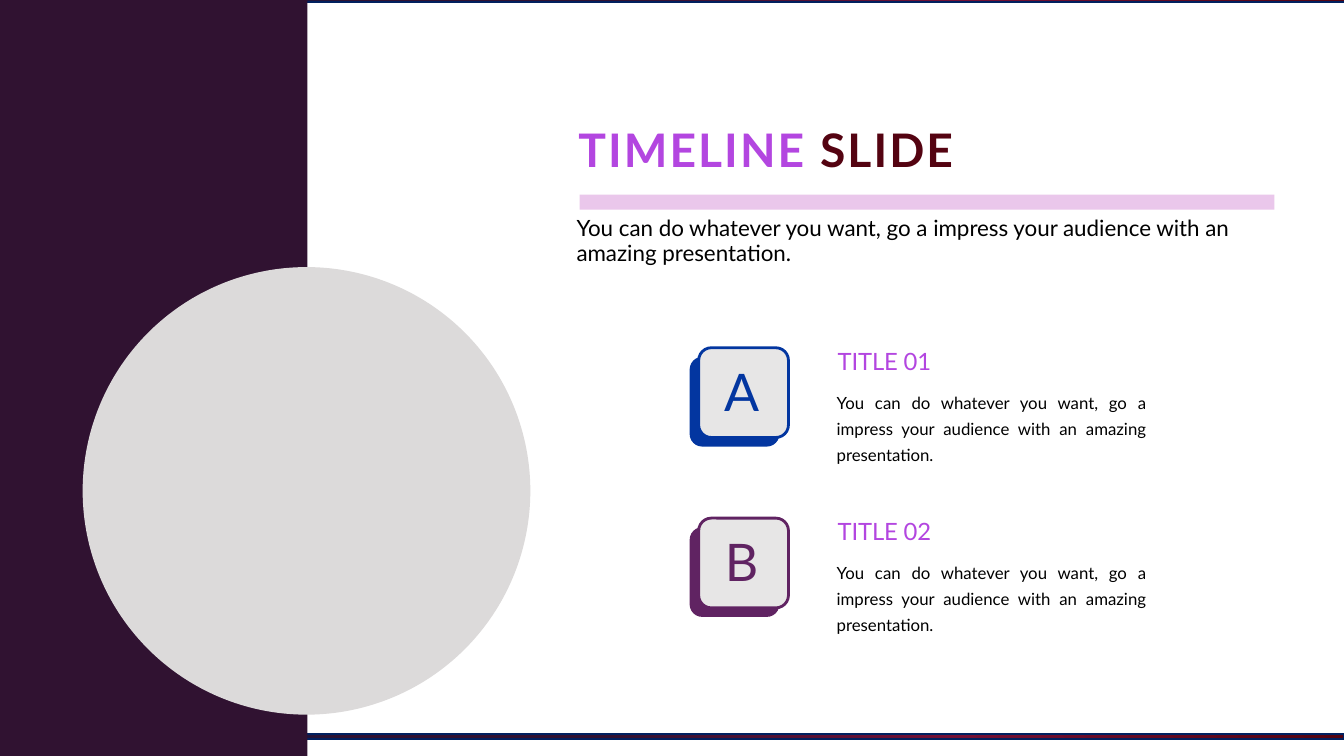
from lxml.etree import SubElement
from pptx import Presentation
from pptx.dml.color import RGBColor
from pptx.enum.shapes import MSO_SHAPE
from pptx.enum.text import MSO_ANCHOR, MSO_AUTO_SIZE, PP_ALIGN
from pptx.oxml.ns import qn
from pptx.util import Inches, Pt

WHITE = RGBColor(0xFF, 0xFF, 0xFF)
BLACK = RGBColor(0x00, 0x00, 0x00)
PLUM = RGBColor(0x30, 0x12, 0x31)
GREY = RGBColor(0xDC, 0xDA, 0xDA)
TILE = RGBColor(0xE7, 0xE6, 0xE6)
PINK = RGBColor(0xEA, 0xC7, 0xEB)
VIOLET = RGBColor(0xB3, 0x46, 0xE0)
MAROON = RGBColor(0x54, 0x03, 0x11)
BLUE = RGBColor(0x03, 0x36, 0xA0)
PURPLE = RGBColor(0x60, 0x23, 0x62)
NAVY = RGBColor(0x01, 0x20, 0x5F)
BAR_STOPS = [
    (0, MAROON),
    (29, RGBColor(0x75, 0x10, 0x35)),
    (55, RGBColor(0x31, 0x11, 0x31)),
    (74, PLUM),
    (83, RGBColor(0x01, 0x1B, 0x50)),
    (100, RGBColor(0x01, 0x15, 0x40)),
]
MESSAGE = "You can do whatever you want, go a impress your audience with an amazing presentation."

deck = Presentation()
deck.slide_width = Inches(13.33)
deck.slide_height = Inches(7.5)
page = deck.slides.add_slide(deck.slide_layouts[6])
page.background.fill.solid()
page.background.fill.fore_color.rgb = WHITE


def add_block(kind, left, top, width, height, color, line=None, line_width=1):
    block = page.shapes.add_shape(kind, Inches(left), Inches(top), Inches(width), Inches(height))
    block.shadow.inherit = False
    block.fill.solid()
    block.fill.fore_color.rgb = color
    if line is None:
        block.line.fill.background()
    else:
        block.line.color.rgb = line
        block.line.width = Pt(line_width)
    return block


def add_text(left, top, width, height, spans, size, align=PP_ALIGN.LEFT, anchor=MSO_ANCHOR.TOP,
             leading=None, spacing=0, bold=False, wrap=True):
    box = page.shapes.add_textbox(Inches(left), Inches(top), Inches(width), Inches(height))
    frame = box.text_frame
    frame.word_wrap = wrap
    frame.auto_size = MSO_AUTO_SIZE.SHAPE_TO_FIT_TEXT
    frame.vertical_anchor = anchor
    para = frame.paragraphs[0]
    para.alignment = align
    if leading:
        para.line_spacing = Pt(leading)
    for text, color in spans:
        span = para.add_run()
        span.text = text
        span.font.name = "Lato"
        span.font.size = Pt(size)
        span.font.bold = bold
        span.font.color.rgb = color
        if spacing:
            span.font._element.set("spc", str(round(spacing * 100)))


for left, top in [(-0.04, 7.28), (0, -0.03)]:
    bar = add_block(MSO_SHAPE.RECTANGLE, left, top, 13.37, 0.05, MAROON, NAVY)
    bar.fill.gradient()
    bar.fill.gradient_angle = 230
    stops = bar._element.spPr.find(qn("a:gradFill")).find(qn("a:gsLst"))
    for stop in list(stops):
        stops.remove(stop)
    for position, color in BAR_STOPS:
        stop = SubElement(stops, qn("a:gs"), pos=str(position * 1000))
        SubElement(stop, qn("a:srgbClr"), val=str(color))

add_block(MSO_SHAPE.RECTANGLE, 0, 0, 3.05, 7.5, PLUM)
add_block(MSO_SHAPE.OVAL, 0.82, 2.65, 4.44, 4.44, GREY)

items = [("A", "TITLE 01", BLUE), ("B", "TITLE 02", PURPLE)]
for index, (letter, title, color) in enumerate(items):
    top = 3.45 + index * 1.69
    back = add_block(MSO_SHAPE.ROUNDED_RECTANGLE, 6.84, top + 0.09, 0.89, 0.89, color)
    front = add_block(MSO_SHAPE.ROUNDED_RECTANGLE, 6.93, top, 0.89, 0.89, TILE, color, 2)
    for tile in (back, front):
        tile.adjustments[0] = 0.14
    add_text(8.21, top - 0.07, 3.27, 0.39, [(title, VIOLET)], 17,
             anchor=MSO_ANCHOR.BOTTOM, spacing=-0.1)
    add_text(8.2, top + 0.34, 3.27, 0.87, [(MESSAGE, BLACK)], 12,
             align=PP_ALIGN.JUSTIFY, leading=18.5)
    add_text(6.95, top - 0.47, 0.81, 1.25, [(letter, color)], 37, align=PP_ALIGN.CENTER,
             anchor=MSO_ANCHOR.BOTTOM, leading=94, spacing=-2.9)

add_block(MSO_SHAPE.RECTANGLE, 5.75, 1.93, 6.89, 0.15, PINK)
add_text(5.62, 2.08, 6.89, 0.63, [(MESSAGE, BLACK)], 16, leading=18.5)
add_text(5.62, 1.15, 3.95, 0.66, [("TIMELINE ", VIOLET), ("SLIDE", MAROON)], 33,
         align=PP_ALIGN.CENTER, spacing=1.5, bold=True, wrap=False)

deck.save("out.pptx")
